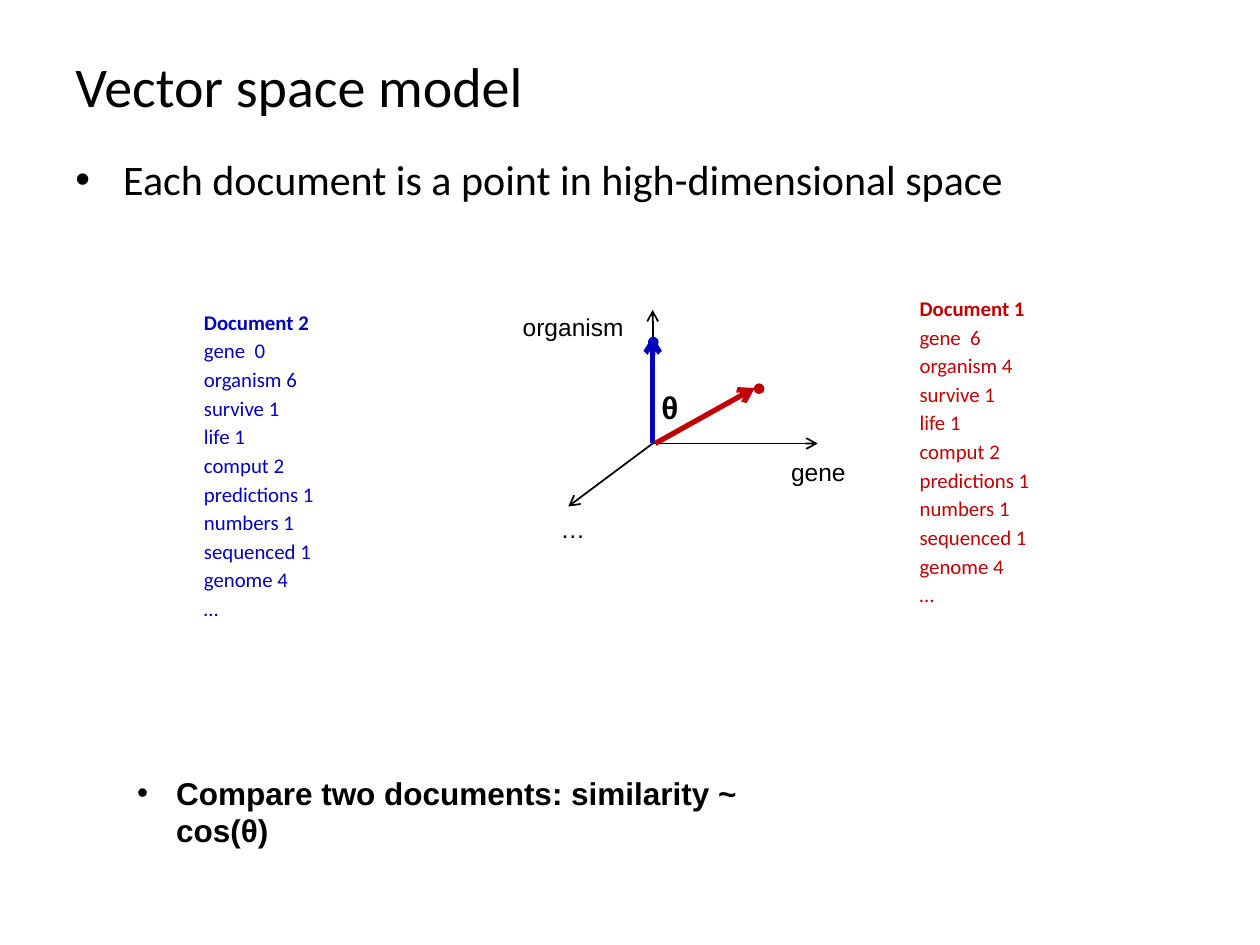
"""Build the vector space model slide."""
from lxml import etree
from pptx import Presentation
from pptx.dml.color import RGBColor
from pptx.enum import shapes, text
from pptx.oxml import ns
from pptx.util import Inches, Pt

BLACK, RED, BLUE = "000000", "C00000", "0303BD"
SHARED_TERMS = ["survive 1", "life 1", "comput 2", "predictions 1",
                "numbers 1", "sequenced 1", "genome 4", "…"]
DOCUMENTS = [
    ("Document 1", ["gene  6", "organism 4"], RED, (7.2, 2.32)),
    ("Document 2", ["gene  0", "organism 6"], BLUE, (1.52, 2.43)),
]
ORIGIN = (5.18, 3.52)
AXES = [
    ("gene", (6.49, 3.52), (6.18, 3.58, 0.68, 0.34)),
    ("…", (4.51, 4.02), (4.35, 4.03, 0.39, 0.34)),
    ("organism", (5.18, 2.46), (4.05, 2.43, 1.02, 0.34)),
]
POINTS = [(5.99, 3.05, RED), (5.15, 2.68, BLUE)]
VECTORS = [(ORIGIN, (5.18, 2.67), BLUE), ((5.2, 3.52), (5.99, 3.08), RED)]
POINT_SIZE = 0.07


def rgb(color):
    return RGBColor.from_string(color)


def add_text(slide, lines, box, size, font="Arial", color=BLACK, bold=False,
             bold_first=False, bullet_indent=0, spacing=None, before=0,
             wrap=True, anchor=text.MSO_ANCHOR.TOP):
    frame = slide.shapes.add_textbox(*map(Inches, box)).text_frame
    frame.word_wrap = wrap
    frame.vertical_anchor = anchor
    for index, line in enumerate(lines):
        paragraph = frame.paragraphs[0] if index == 0 else frame.add_paragraph()
        paragraph.text = line
        if bullet_indent:
            props = paragraph._p.get_or_add_pPr()
            props.set("marL", str(Inches(bullet_indent)))
            props.set("indent", str(-Inches(bullet_indent)))
            etree.SubElement(props, ns.qn("a:buFont"), typeface="Arial")
            etree.SubElement(props, ns.qn("a:buChar"), char="•")
        if spacing:
            paragraph.line_spacing = spacing
        if index:
            paragraph.space_before = Pt(before)
        paragraph.font.name = font
        paragraph.font.size = Pt(size)
        paragraph.font.bold = bold or (bold_first and index == 0)
        paragraph.font.color.rgb = rgb(color)


def add_arrow(slide, start, end, color, width):
    arrow = slide.shapes.add_connector(
        shapes.MSO_CONNECTOR.STRAIGHT, *map(Inches, start + end))
    arrow.line.color.rgb = rgb(color)
    arrow.line.width = Pt(width)
    etree.SubElement(arrow.line._get_or_add_ln(), ns.qn("a:tailEnd"), type="arrow")
    etree.SubElement(arrow._element.spPr, ns.qn("a:effectLst"))


def add_point(slide, left, top, color):
    point = slide.shapes.add_shape(
        shapes.MSO_SHAPE.FLOWCHART_CONNECTOR,
        *map(Inches, (left, top, POINT_SIZE, POINT_SIZE)))
    point.shadow.inherit = False
    point.fill.solid()
    point.fill.fore_color.rgb = rgb(color)
    point.line.color.rgb = rgb(color)
    point.line.width = Pt(1)


def main():
    deck = Presentation()
    deck.slide_width, deck.slide_height = Inches(10), Inches(7.5)
    slide = deck.slides.add_slide(deck.slide_layouts[6])

    add_text(slide, ["Vector space model"], (0.5, 0.3, 9, 0.75), 32,
             font="Calibri", anchor=text.MSO_ANCHOR.MIDDLE)
    add_text(slide, ["Each document is a point in high-dimensional space"],
             (0.5, 1.17, 9, 1.19), 24, font="Calibri", bullet_indent=0.38)
    for heading, own_terms, color, corner in DOCUMENTS:
        add_text(slide, [heading] + own_terms + SHARED_TERMS,
                 corner + (1.78, 2.83), 11.9, font="Calibri", color=color,
                 bold_first=True, spacing=0.9, before=3.5)
    for label, end, box in AXES:
        add_arrow(slide, ORIGIN, end, BLACK, 1)
        add_text(slide, [label], box, 14)
    for point in POINTS:
        add_point(slide, *point)
    for start, end, color in VECTORS:
        add_arrow(slide, start, end, color, 3)
    add_text(slide, ["Compare two documents: similarity ~ cos(θ)"],
             (0.99, 6.09, 5.6, 0.4), 18, bold=True, bullet_indent=0.31)
    add_text(slide, ["θ"], (5.15, 3.03, 0.33, 0.4), 18, bold=True, wrap=False)
    deck.save("out.pptx")


if __name__ == "__main__":
    main()
